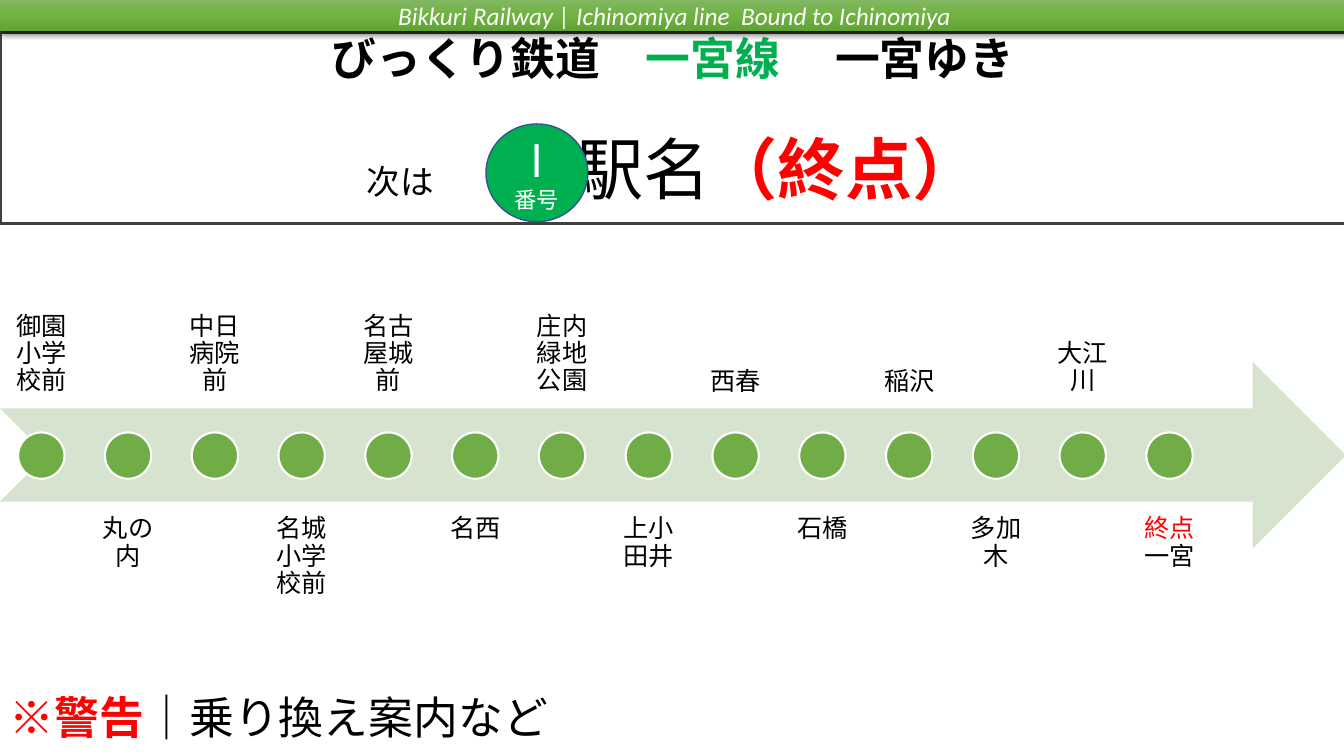
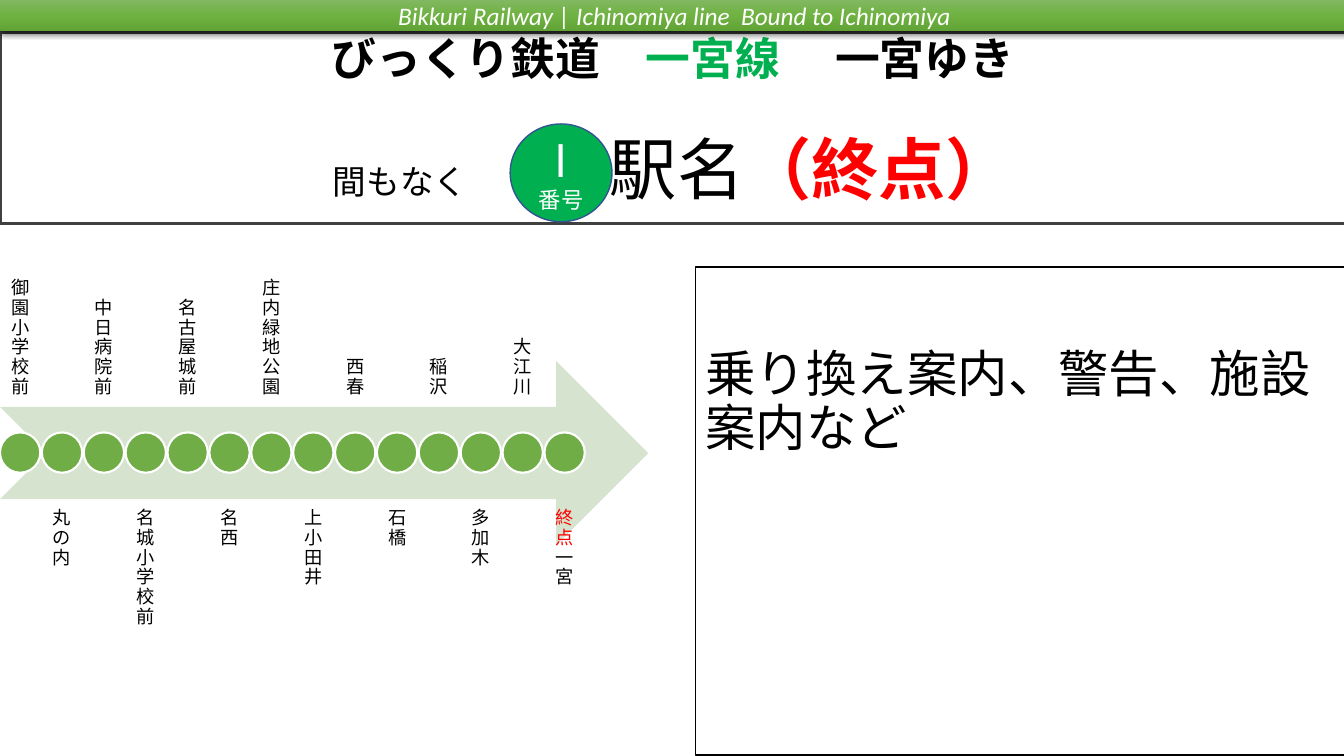
import copy

import lxml.etree
import pptx
import pptx.util
from pptx.dml.color import RGBColor
from pptx.enum.shapes import MSO_SHAPE
from pptx.enum.text import MSO_ANCHOR, PP_ALIGN
from pptx.oxml.ns import qn
from pptx.util import Inches, Pt

BLACK = RGBColor(0x00, 0x00, 0x00)
WHITE = RGBColor(0xFF, 0xFF, 0xFF)
RED = RGBColor(0xFF, 0x00, 0x00)
LINE_GREEN = RGBColor(0x00, 0xB0, 0x50)
BADGE_EDGE = RGBColor(0x32, 0x54, 0x91)
FRAME_GRAY = RGBColor(0x40, 0x40, 0x40)
ARROW_GREEN = RGBColor(0xD5, 0xE3, 0xCF)
STOP_GREEN = RGBColor(0x70, 0xAD, 0x47)
BAND_STOPS = [
    (0, RGBColor(0x81, 0xB8, 0x61)),
    (0.5, RGBColor(0x6F, 0xB2, 0x42)),
    (1, RGBColor(0x62, 0xA3, 0x36)),
]
BODY_FONT = "Calibri"
BADGE_FONT = "Noto Sans CJK JP"

STATIONS = [
    "御園小学校前", "丸の内", "中日病院前", "名城小学校前", "名古屋城前", "名西", "庄内緑地公園",
    "上小田井", "西春", "石橋", "稲沢", "多加木", "大江川", "一宮",
]
PAGES = [
    {
        "status": "次は", "badge_left": 4.82,
        "notice_at": (0, 6.85, 13.35, 0.65), "notice_size": 32, "notice_inset": 0.05,
        "notice": [("※警告", RED, True), ("｜乗り換え案内など", BLACK, False)],
        "notice_framed": False,
        "arrow_at": (0, 3.59, 13.35, 1.85), "last_left": 11.19, "label_width": 0.82,
        "lower_top": 4.98, "inset": 0.14, "label_size": 18, "dot": 0.46,
    },
    {
        "status": "間もなく", "badge_left": 5.06,
        "notice_at": (6.9, 2.65, 6.44, 4.84), "notice_size": 36, "notice_inset": 0.81,
        "notice": [("乗り換え案内、警告、施設案内など", BLACK, False)],
        "notice_framed": True,
        "arrow_at": (0, 3.58, 6.43, 1.83), "last_left": 5.4, "label_width": 0.4,
        "lower_top": 4.95, "inset": 0.1, "label_size": 13, "dot": 0.4,
    },
]


def add_box(page, kind, at, fill=None, line=None, weight=1):
    """Add a preset shape with wrapped text, anchored at the top, and no shadow."""
    box = page.shapes.add_shape(kind, *[Inches(length) for length in at])
    box.shadow.inherit = False
    if fill is None:
        box.fill.background()
    else:
        box.fill.solid()
        box.fill.fore_color.rgb = fill
    if line is None:
        box.line.fill.background()
    else:
        box.line.color.rgb = line
        box.line.width = Pt(weight)
    box.text_frame.word_wrap = True
    box.text_frame.vertical_anchor = MSO_ANCHOR.TOP
    return box


def write(para, spans, size, align=PP_ALIGN.CENTER, spacing=0.9, name=BODY_FONT):
    """Fill a paragraph with (text, colour, bold[, size]) spans."""
    para.alignment = align
    para.line_spacing = spacing
    para.font.size = Pt(size)
    para.font.name = name
    # East Asian characters take their typeface from a:ea.
    defaults = para._p.pPr.find(qn("a:defRPr"))
    lxml.etree.SubElement(defaults, qn("a:ea"), typeface=name)
    for text, color, bold, *own_size in spans:
        span = para.add_run()
        span.text = text
        span.font.color.rgb = color
        span.font.bold = bold
        if own_size:
            span.font.size = Pt(own_size[0])


deck = pptx.Presentation()
deck.slide_width = Inches(13.33)
deck.slide_height = Inches(7.5)

for content in PAGES:
    page = deck.slides.add_slide(deck.slide_layouts[6])

    # Title panel
    title = add_box(page, MSO_SHAPE.RECTANGLE, (0, 0.32, 13.35, 1.9), line=FRAME_GRAY, weight=2.25)
    write(title.text_frame.paragraphs[0], [
        ("びっくり鉄道　", BLACK, True),
        ("一宮線 ", LINE_GREEN, True),
        ("　一宮ゆき", BLACK, True),
    ], 32)
    station_line = title.text_frame.add_paragraph()
    station_line.space_before = Pt(36)
    write(station_line, [
        (content["status"], BLACK, False, 24),
        ("　", BLACK, False, 32),
        ("　  駅名", BLACK, False),
        ("（終点）", RED, True),
    ], 48)

    # Notice
    notice = add_box(page, MSO_SHAPE.RECTANGLE, content["notice_at"],
                     line=BLACK if content["notice_framed"] else None)
    notice.text_frame.margin_top = Inches(content["notice_inset"])
    write(notice.text_frame.paragraphs[0], content["notice"], content["notice_size"], PP_ALIGN.LEFT)

    # Top band
    band = add_box(page, MSO_SHAPE.RECTANGLE, (0, 0, 13.38, 0.31))
    band.fill.gradient()
    band.fill.gradient_angle = 270
    stop_list = band._element.spPr.find(".//" + qn("a:gsLst"))
    stop_list.insert(1, copy.deepcopy(stop_list[0]))
    for stop, (position, color) in zip(band.fill.gradient_stops, BAND_STOPS):
        stop.position = position
        stop.color.rgb = color
    effects = band._element.spPr.find(qn("a:effectLst"))
    shadow = lxml.etree.SubElement(effects, qn("a:outerShdw"), blurRad=str(Pt(4.5)),
                                   dist=str(Pt(1.5)), dir="5400000", rotWithShape="0")
    shade = lxml.etree.SubElement(shadow, qn("a:srgbClr"), val=str(BLACK))
    lxml.etree.SubElement(shade, qn("a:alpha"), val="63000")
    band.text_frame.vertical_anchor = MSO_ANCHOR.MIDDLE
    band_para = band.text_frame.paragraphs[0]
    write(band_para, [("Bikkuri Railway | Ichinomiya line  Bound to Ichinomiya", WHITE, False)], 18,
          spacing=1.0)
    band_para.font.italic = True

    # Station number badge
    badge = add_box(page, MSO_SHAPE.OVAL, (content["badge_left"], 1.23, 1.01, 0.97),
                    LINE_GREEN, BADGE_EDGE)
    badge.text_frame.vertical_anchor = MSO_ANCHOR.MIDDLE
    write(badge.text_frame.paragraphs[0], [("I", WHITE, False)], 32, spacing=1.0, name=BADGE_FONT)
    write(badge.text_frame.add_paragraph(), [("番号", WHITE, False)], 16, spacing=1.0)

    # Route: labels alternate above and below the arrow
    add_box(page, MSO_SHAPE.NOTCHED_RIGHT_ARROW, content["arrow_at"], ARROW_GREEN)
    label_height = content["arrow_at"][3]
    width, dot = content["label_width"], content["dot"]
    pitch = content["last_left"] / (len(STATIONS) - 1)
    for index, station in enumerate(STATIONS):
        left = index * pitch
        above = index % 2 == 0
        top = 2.21 if above else content["lower_top"]
        label = page.shapes.add_textbox(Inches(left), Inches(top), Inches(width), Inches(label_height))
        frame = label.text_frame
        frame.word_wrap = True
        frame.vertical_anchor = MSO_ANCHOR.BOTTOM if above else MSO_ANCHOR.TOP
        frame.margin_left = frame.margin_right = Inches(content["inset"])
        frame.margin_top = frame.margin_bottom = Inches(content["inset"])
        spans = [(station, BLACK, False)]
        if station == STATIONS[-1]:
            spans.insert(0, ("終点", RED, False))
        write(frame.paragraphs[0], spans, content["label_size"])
        add_box(page, MSO_SHAPE.OVAL, (left + (width - dot) / 2, 4.29, dot, dot),
                STOP_GREEN, WHITE, 1.5)

deck.save("out.pptx")
